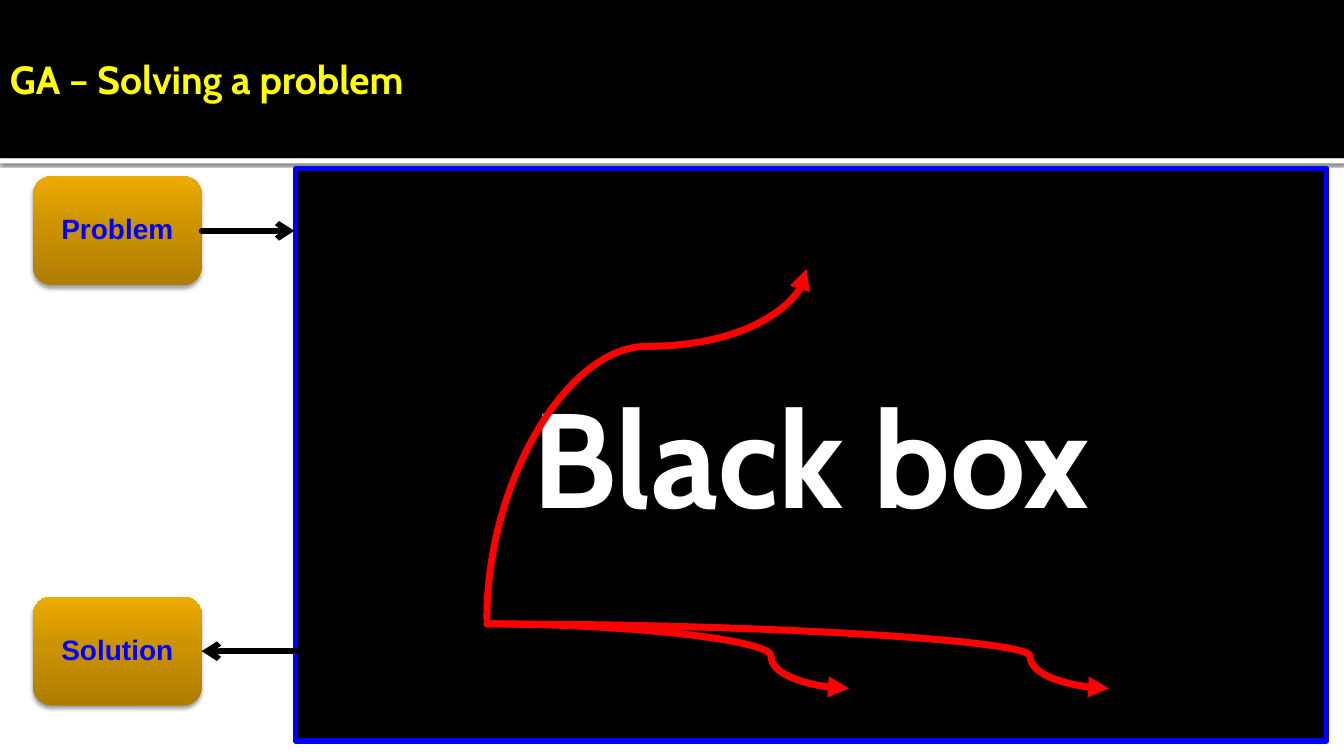
"""Builds the slide on solving a problem with a GA as a black box."""
from copy import deepcopy

from lxml.etree import SubElement
from pptx import Presentation
from pptx.dml.color import RGBColor
from pptx.enum.shapes import MSO_CONNECTOR, MSO_SHAPE
from pptx.enum.text import MSO_ANCHOR, PP_ALIGN
from pptx.oxml.ns import qn
from pptx.util import Inches, Pt

TITLE = "GA – Solving a problem"
BOX_LABEL = "Black box"
BLACK_BOX = (2.93, 1.67, 10.23, 5.68)
HEADER_H = 1.57
STEPS = [("Problem", 1.75), ("Solution", 5.92)]
STEP_X, STEP_W, STEP_H = 0.33, 1.67, 1.08
GOLD = [(0, "AE7D00"), (0.55, "CC9300"), (1, "EEAB00")]
ARROWS = [((2, 2.29), (2.92, 2.29)), ((3.32, 6.46), (2, 6.46))]
CURVES = [
    ((4.83, 6.14), (8, 2.67), 0.779, True),
    ((4.83, 6.19), (8.42, 6.83), 0.785, False),
    ((4.83, 6.19), (11, 6.83), 0.873, False),
]


def rgb(code):
    return RGBColor.from_string(code)


def write(shape, text, size, color, font="Cabin", align=PP_ALIGN.CENTER,
          left=0.1, inset=0.05, spacing=1.0):
    tf = shape.text_frame
    tf.word_wrap = True
    tf.vertical_anchor = MSO_ANCHOR.MIDDLE
    tf.margin_left = Inches(left)
    tf.margin_right = tf.margin_top = tf.margin_bottom = Inches(inset)
    p = tf.paragraphs[0]
    p.alignment = align
    p.line_spacing = spacing
    r = p.add_run()
    r.text = text
    r.font.name, r.font.size, r.font.bold = font, Pt(size), True
    r.font.color.rgb = rgb(color)


def add_block(s, kind, box, fill=None, line=None, width=0):
    sp = s.shapes.add_shape(kind, *map(Inches, box))
    sp.shadow.inherit = False
    if fill:
        sp.fill.solid()
        sp.fill.fore_color.rgb = rgb(fill)
    if line:
        sp.line.color.rgb = rgb(line)
        sp.line.width = Pt(width)
    else:
        sp.line.fill.background()
    return sp


def add_shadow(sp, alpha, blur, dist):
    effects = sp._element.spPr.find(qn("a:effectLst"))
    shadow = SubElement(effects, qn("a:outerShdw"), blurRad=str(Pt(blur)),
                        dist=str(Pt(dist)), dir="5400000", rotWithShape="0")
    color = SubElement(shadow, qn("a:srgbClr"), val="000000")
    SubElement(color, qn("a:alpha"), val=str(alpha * 1000))


def fill_gold(sp):
    sp.fill.gradient()
    sp.fill.gradient_angle = 90
    stops = sp._element.spPr.find(qn("a:gradFill")).find(qn("a:gsLst"))
    stops.append(deepcopy(stops[0]))
    for stop, (position, color) in zip(sp.fill.gradient_stops, GOLD):
        stop.position = position
        stop.color.rgb = rgb(color)


def add_arrow(s, kind, start, end, color, width, head):
    c = s.shapes.add_connector(kind, *map(Inches, start + end))
    c.line.color.rgb = rgb(color)
    c.line.width = Pt(width)
    ln = c.line._get_or_add_ln()
    ln.set("cap", "rnd")
    SubElement(ln, qn("a:tailEnd"), type=head)
    SubElement(c._element.spPr, qn("a:effectLst"))
    return c


def quarter_back(point, center):
    dx, dy = point[0] - center[0], point[1] - center[1]
    return center[0] + dy, center[1] - dx


def add_curve(s, start, end, bend, upright):
    if upright:
        center = (start[0] + end[0]) / 2, (start[1] + end[1]) / 2
        start, end = quarter_back(start, center), quarter_back(end, center)
    c = add_arrow(s, MSO_CONNECTOR.CURVE, start, end, "FF0000", 5, "triangle")
    spPr = c._element.spPr
    if upright:
        spPr.find(qn("a:xfrm")).set("rot", "5400000")
    guides = spPr.find(qn("a:prstGeom")).find(qn("a:avLst"))
    SubElement(guides, qn("a:gd"), name="adj1", fmla=f"val {round(bend * 100000)}")


def main():
    prs = Presentation()
    prs.slide_width, prs.slide_height = Inches(13.33), Inches(7.5)
    s = prs.slides.add_slide(prs.slide_layouts[6])

    rule = add_block(s, MSO_SHAPE.RECTANGLE, (0, HEADER_H, 13.33, 0.05), "FFFFFF")
    add_shadow(rule, 60, 2.5, 0.8)
    add_block(s, MSO_SHAPE.RECTANGLE, (0, 0, 13.33, HEADER_H), "000000")
    title = s.shapes.add_textbox(0, 0, Inches(11.81), Inches(HEADER_H))
    write(title, TITLE, 28, "FFFF00", align=PP_ALIGN.LEFT)

    box = add_block(s, MSO_SHAPE.FLOWCHART_PROCESS, BLACK_BOX, "000000", "0000FF", 3.78)
    write(box, BOX_LABEL, 96, "FFFFFF", inset=0.1)

    for label, top in STEPS:
        sp = add_block(s, MSO_SHAPE.ROUNDED_RECTANGLE, (STEP_X, top, STEP_W, STEP_H))
        fill_gold(sp)
        add_shadow(sp, 38, 3.1, 2)
        write(sp, label, 20, "0000FF", font="Arial", left=0.05, spacing=0.9)
    for start, end in ARROWS:
        add_arrow(s, MSO_CONNECTOR.STRAIGHT, start, end, "000000", 4, "arrow")
    for curve in CURVES:
        add_curve(s, *curve)

    prs.save("out.pptx")


if __name__ == "__main__":
    main()
